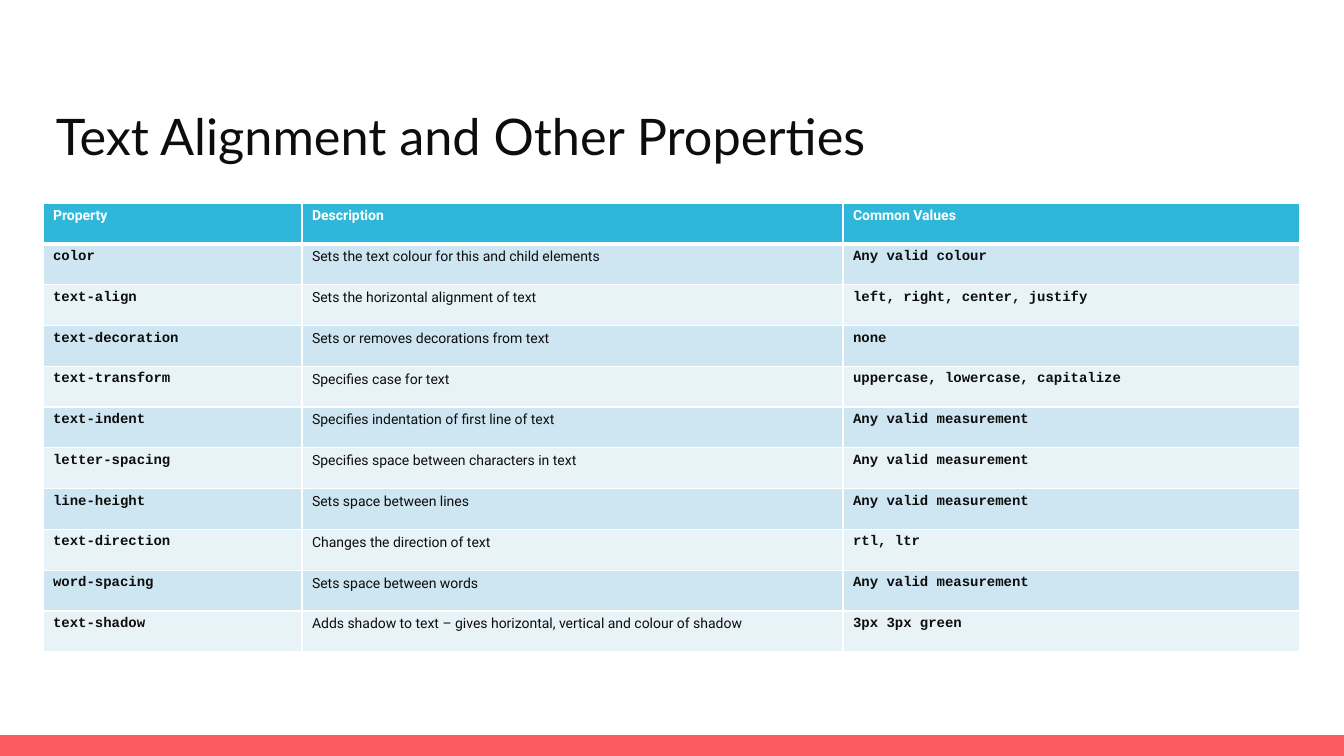
import dataclasses

import lxml.etree
import pptx
import pptx.dml.color
import pptx.enum.shapes
import pptx.enum.text
import pptx.oxml.ns
import pptx.util

EMU_PER_PX = 914400 / 100.8
SLIDE_WIDTH, SLIDE_HEIGHT = 1344, 756


@dataclasses.dataclass(frozen=True)
class Theme:
    ink: str = "0D0D0D"
    white: str = "FFFFFF"
    header: str = "2FB7DA"
    bands: tuple = ("CDE6F1", "E8F3F8")
    footer: str = "FC5B61"
    title_font: str = "Lato"
    body_font: str = "Roboto"
    code_font: str = "Courier New"
    title_size: int = 36
    table_size: int = 10
    border: int = 1
    header_border: int = 3


THEME = Theme()

HEADINGS = ("Property", "Description", "Common Values")
PROPERTIES = [
    ("color", "Sets the text colour for this and child elements", "Any valid colour"),
    ("text-align", "Sets the horizontal alignment of text", "left, right, center, justify"),
    ("text-decoration", "Sets or removes decorations from text", "none"),
    ("text-transform", "Specifies case for text", "uppercase, lowercase, capitalize"),
    ("text-indent", "Specifies indentation of first line of text", "Any valid measurement"),
    ("letter-spacing", "Specifies space between characters in text", "Any valid measurement"),
    ("line-height", "Sets space between lines", "Any valid measurement"),
    ("text-direction", "Changes the direction of text", "rtl, ltr"),
    ("word-spacing", "Sets space between words", "Any valid measurement"),
    ("text-shadow", "Adds shadow to text – gives horizontal, vertical and colour of shadow",
     "3px 3px green"),
]
COLUMN_WIDTHS = (259, 541, 457)
DESCRIPTION_COLUMN = 1


def px(length):
    return pptx.util.Emu(round(length * EMU_PER_PX))


def rgb(color):
    return pptx.dml.color.RGBColor.from_string(color)


def format_font(font, name, size, color, bold=False):
    font.name = name
    font.size = pptx.util.Pt(size)
    font.color.rgb = rgb(color)
    font.bold = bold


def add_footer_band(slide, left, top, width, height):
    band = slide.shapes.add_shape(pptx.enum.shapes.MSO_SHAPE.RECTANGLE,
                                  px(left), px(top), px(width), px(height))
    band.shadow.inherit = False
    band.fill.solid()
    band.fill.fore_color.rgb = rgb(THEME.footer)
    band.line.fill.background()


def place_title(slide, text, left, top, width, height):
    title = slide.shapes.title
    title.left, title.top, title.width, title.height = map(px, (left, top, width, height))
    frame = title.text_frame
    frame.text = text
    frame.word_wrap = True
    frame.auto_size = pptx.enum.text.MSO_AUTO_SIZE.NONE
    frame.vertical_anchor = pptx.enum.text.MSO_ANCHOR.TOP
    frame.margin_left = frame.margin_right = 0
    frame.margin_top = frame.margin_bottom = px(5)
    paragraph = frame.paragraphs[0]
    paragraph.alignment = pptx.enum.text.PP_ALIGN.LEFT
    paragraph.line_spacing = 0.9
    format_font(paragraph.runs[0].font, THEME.title_font, THEME.title_size, THEME.ink)


def set_borders(cell, top, bottom):
    properties = cell._tc.get_or_add_tcPr()
    widths = {"lnL": THEME.border, "lnR": THEME.border, "lnT": top, "lnB": bottom}
    for side, width in widths.items():
        line = lxml.etree.SubElement(properties, pptx.oxml.ns.qn(f"a:{side}"),
                                     w=str(pptx.util.Pt(width)))
        fill = lxml.etree.SubElement(line, pptx.oxml.ns.qn("a:solidFill"))
        lxml.etree.SubElement(fill, pptx.oxml.ns.qn("a:srgbClr"), val=THEME.white)


def format_cell(cell, text, row, column):
    is_header = row == 0
    # Borders come before the fill in the cell properties
    set_borders(cell,
                top=THEME.header_border if row == 1 else THEME.border,
                bottom=THEME.header_border if is_header else THEME.border)
    cell.fill.solid()
    cell.fill.fore_color.rgb = rgb(THEME.header if is_header else THEME.bands[(row - 1) % 2])
    cell.text_frame.text = text
    is_description = column == DESCRIPTION_COLUMN
    format_font(cell.text_frame.paragraphs[0].runs[0].font,
                THEME.body_font if is_header or is_description else THEME.code_font,
                THEME.table_size,
                THEME.white if is_header else THEME.ink,
                bold=is_header or not is_description)


def add_property_table(slide, left, top, width, height):
    rows = [HEADINGS, *PROPERTIES]
    table = slide.shapes.add_table(len(rows), len(HEADINGS),
                                   px(left), px(top), px(width), px(height)).table
    for column, column_width in zip(table.columns, COLUMN_WIDTHS):
        column.width = px(column_width)
    for row_index, texts in enumerate(rows):
        table.rows[row_index].height = px(height / len(rows))
        for column_index, text in enumerate(texts):
            format_cell(table.cell(row_index, column_index), text, row_index, column_index)


def build_table_slide(presentation):
    title_only = presentation.slide_layouts.get_by_name("Title Only")
    slide = presentation.slides.add_slide(title_only)
    slide.background.fill.solid()
    slide.background.fill.fore_color.rgb = rgb(THEME.white)
    # Footer band, title and table
    add_footer_band(slide, 0, 735, SLIDE_WIDTH, SLIDE_HEIGHT - 735)
    place_title(slide, "Text Alignment and Other Properties", 56, 107, 1231, 80)
    add_property_table(slide, 43, 203, sum(COLUMN_WIDTHS), 449)


def main():
    presentation = pptx.Presentation()
    presentation.slide_width = px(SLIDE_WIDTH)
    presentation.slide_height = px(SLIDE_HEIGHT)
    build_table_slide(presentation)
    presentation.save("out.pptx")


if __name__ == "__main__":
    main()
